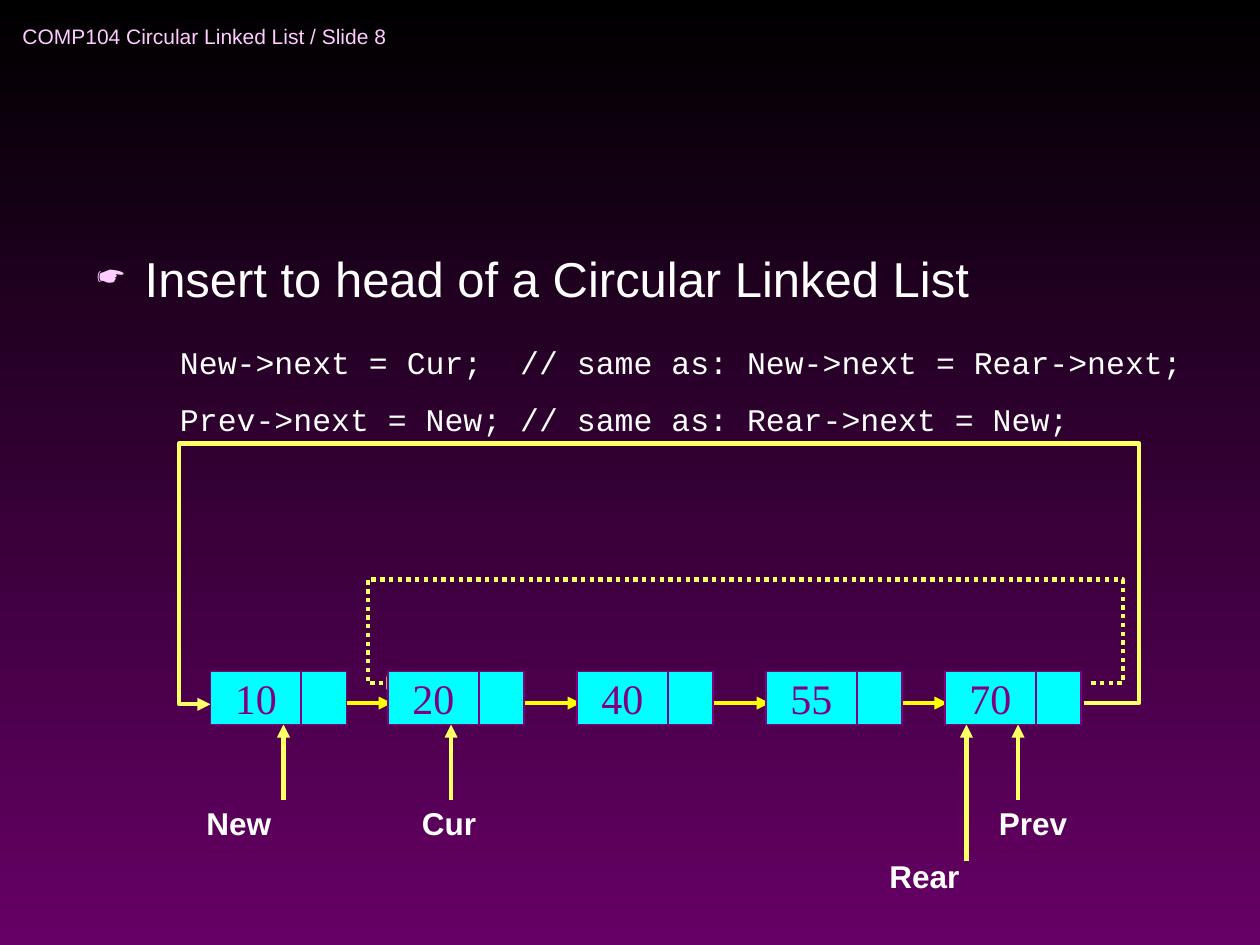
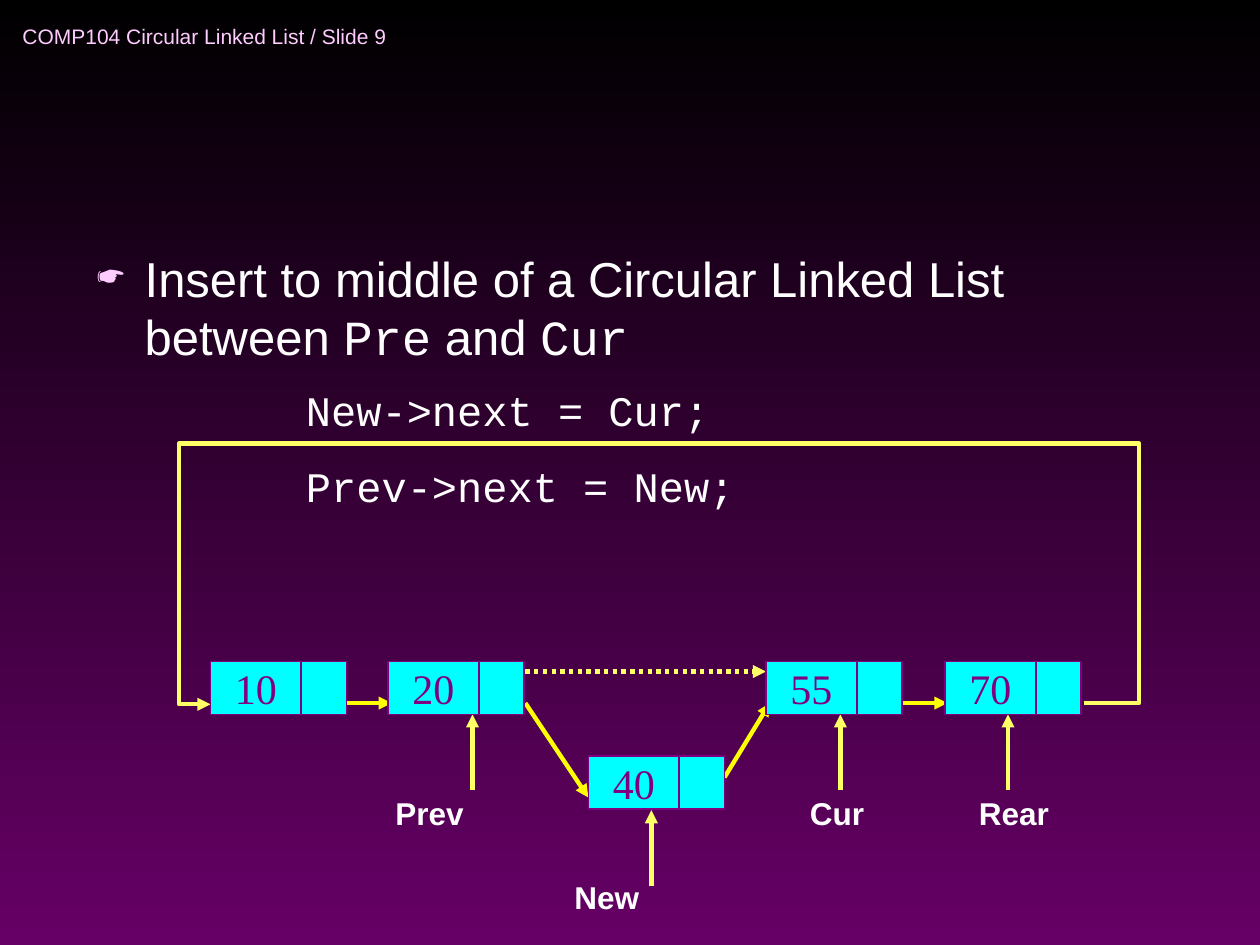
import pptx
import pptx.util
import pptx.dml.color
import pptx.enum.dml
import pptx.enum.shapes
import pptx.enum.text
import pptx.oxml.ns
import lxml.etree

Inches = pptx.util.Inches
Pt = pptx.util.Pt
RGBColor = pptx.dml.color.RGBColor
RECT = pptx.enum.shapes.MSO_SHAPE.RECTANGLE
LINE = pptx.enum.shapes.MSO_CONNECTOR.STRAIGHT
DOTS = pptx.enum.dml.MSO_LINE.ROUND_DOT
ALIGN = pptx.enum.text.PP_ALIGN
MIDDLE = pptx.enum.text.MSO_ANCHOR.MIDDLE

BLACK = RGBColor(0, 0, 0)
PLUM = RGBColor(0x66, 0, 0x66)
PURPLE = RGBColor(0x80, 0, 0x80)
PINK = RGBColor(0xFF, 0xCC, 0xFF)
WHITE = RGBColor(0xFF, 0xFF, 0xFF)
CYAN = RGBColor(0, 0xFF, 0xFF)
YELLOW = RGBColor(0xFF, 0xFF, 0)
LEMON = RGBColor(0xFF, 0xFF, 0x66)

SANS, MONO, SERIF = "Arial", "Courier New", "Times New Roman"
HEAD = "COMP104 Circular Linked List / Slide "
DATA_W, NEXT_W, NODE_H = 0.72, 0.36, 0.42
LINK_Y, REACH = 5.58, 0.6
LOOP = [(8.6, 5.58), (9.04, 5.58), (9.04, 3.52), (1.42, 3.52), (1.42, 5.59), (1.67, 5.59)]

SLIDES = [
    {
        "number": "8",
        "title": [("Insert to head of a Circular Linked List", SANS)],
        "code": {
            "at": (1.33, 2.67, 8.42, 0.86), "size": 18, "gap": 11.2,
            "lines": ["New->next = Cur;  // same as: New->next = Rear->next;",
                      "Prev->next = New; // same as: Rear->next = New;"],
        },
        "nodes": [("10", 1.67, 5.33), ("20", 3.08, 5.33), ("40", 4.58, 5.33),
                  ("55", 6.08, 5.33), ("70", 7.5, 5.33)],
        "links": [((x, LINK_Y), (x + 0.44, LINK_Y)) for x in (2.67, 4.17, 5.67, 7.08)],
        "old": [(8.66, 5.42), (8.91, 5.42), (8.91, 4.6), (2.92, 4.6), (2.92, 5.42), (3.17, 5.42)],
        "marks": [("New", (1.54, 6.33), (2.25, 5.75), REACH),
                  ("Cur", (3.25, 6.33), (3.58, 5.75), REACH),
                  ("Rear", (6.96, 6.75), (7.67, 5.75), 1.08),
                  ("Prev", (7.83, 6.33), (8.08, 5.75), REACH)],
    },
    {
        "number": "9",
        "title": [("Insert to middle of a Circular Linked List between ", SANS),
                  ("Pre", MONO), (" and ", SANS), ("Cur", MONO)],
        "code": {
            "at": (2.33, 3, 5, 1.11), "size": 24, "gap": 15,
            "lines": ["New->next = Cur;", "Prev->next = New;"],
        },
        "nodes": [("10", 1.67, 5.25), ("20", 3.08, 5.25), ("40", 4.67, 6),
                  ("55", 6.08, 5.25), ("70", 7.5, 5.25)],
        "links": [((2.67, LINK_Y), (3.11, LINK_Y)), ((4.17, LINK_Y), (4.67, 6.33)),
                  ((5.75, 6.17), (6.11, LINK_Y)), ((7.08, LINK_Y), (7.52, LINK_Y))],
        "old": [(4.17, 5.33), (6.08, 5.33)],
        "marks": [("Prev", (3.04, 6.25), (3.75, 5.67), REACH),
                  ("New", (4.46, 6.92), (5.17, 6.43), REACH),
                  ("Cur", (6.33, 6.25), (6.67, 5.67), REACH),
                  ("Rear", (7.67, 6.25), (8, 5.67), REACH)],
    },
]


def add_tag(parent, name, **attrs):
    return lxml.etree.SubElement(parent, pptx.oxml.ns.qn("a:" + name), **attrs)


def add_run(para, text, font, size, color, bold=False):
    run = para.add_run()
    run.text = text
    run.font.name = font
    run.font.size = Pt(size)
    run.font.bold = bold
    run.font.color.rgb = color


def add_text(slide, box, lines, size, color, gap=0, bold=False):
    frame = slide.shapes.add_textbox(*map(Inches, box)).text_frame
    frame.word_wrap = True
    for i, runs in enumerate(lines):
        para = frame.add_paragraph() if i else frame.paragraphs[0]
        para.space_before = Pt(gap)
        for text, font in runs:
            add_run(para, text, font, size, color, bold)
    return frame


def add_title(slide, runs):
    frame = add_text(slide, (0.67, 1.92, 8.58, 4.75), [runs], 28, WHITE, 7)
    props = frame.paragraphs[0]._p.get_or_add_pPr()
    props.set("marL", str(Inches(0.38)))
    props.set("indent", str(Inches(-0.38)))
    add_tag(add_tag(props, "buClr"), "srgbClr", val=str(PINK))
    add_tag(props, "buSzPct", val="75000")
    add_tag(props, "buChar", char="☛")


def add_arrow(slide, points, color, dotted=False):
    spots = [(Inches(x), Inches(y)) for x, y in points]
    if len(spots) == 2:
        arrow = slide.shapes.add_connector(LINE, *spots[0], *spots[1])
        add_tag(arrow._element.spPr, "effectLst")
    else:
        outline = slide.shapes.build_freeform(*spots[0])
        outline.add_line_segments(spots[1:], close=False)
        arrow = outline.convert_to_shape()
        arrow.fill.background()
        arrow.shadow.inherit = False
    arrow.line.color.rgb = color
    arrow.line.width = Pt(2.5)
    if dotted:
        arrow.line.dash_style = DOTS
    add_tag(arrow.line._get_or_add_ln(), "tailEnd", type="triangle")


def add_node(slide, value, left, top):
    group = slide.shapes.add_group_shape()
    for x, width, text in ((left, DATA_W, value), (left + DATA_W, NEXT_W, "")):
        cell = group.shapes.add_shape(RECT, *map(Inches, (x, top, width, NODE_H)))
        cell.shadow.inherit = False
        cell.fill.solid()
        cell.fill.fore_color.rgb = CYAN
        cell.line.color.rgb = PURPLE
        cell.line.width = Pt(1)
        if text:
            frame = cell.text_frame
            frame.word_wrap = False
            frame.vertical_anchor = MIDDLE
            frame.paragraphs[0].alignment = ALIGN.CENTER
            add_run(frame.paragraphs[0], text, SERIF, 24, PURPLE)


def add_slide(deck, data):
    slide = deck.slides.add_slide(deck.slide_layouts[6])
    header = add_text(slide, (0.08, 0.08, 3.25, 0.42),
                      [[(HEAD + data["number"], SANS)]], 12, PINK)
    header.vertical_anchor = MIDDLE
    add_title(slide, data["title"])
    code = data["code"]
    add_text(slide, code["at"], [[(line, MONO)] for line in code["lines"]],
             code["size"], WHITE, code["gap"])
    for link in data["links"]:
        add_arrow(slide, link, YELLOW)
    add_arrow(slide, LOOP, LEMON)
    add_arrow(slide, data["old"], LEMON, dotted=True)
    for name, spot, (x, tip), reach in data["marks"]:
        add_text(slide, (*spot, 1.25, 0.4), [[(name, SANS)]], 18, WHITE, 4.5, True)
        add_arrow(slide, [(x, tip + reach), (x, tip)], LEMON)
    for node in data["nodes"]:
        add_node(slide, *node)


def main():
    deck = pptx.Presentation()
    deck.slide_width, deck.slide_height = Inches(10), Inches(7.5)
    fill = deck.slide_master.background.fill
    fill.gradient()
    fill.gradient_angle = 270
    for stop, color in zip(fill.gradient_stops, (BLACK, PLUM)):
        stop.color.rgb = color
    for data in SLIDES:
        add_slide(deck, data)
    deck.save("out.pptx")


if __name__ == "__main__":
    main()
